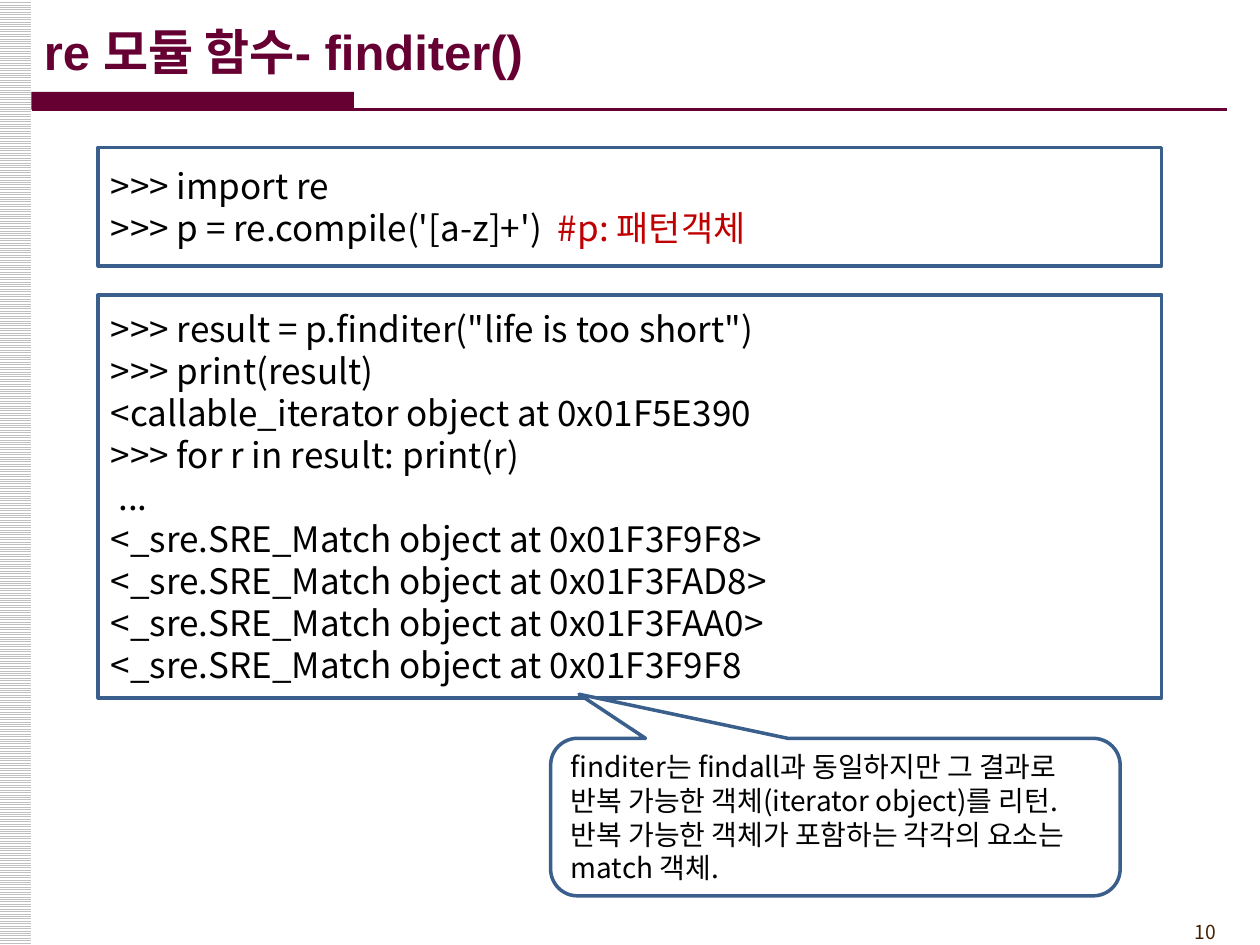
import pptx
import pptx.util
import pptx.dml.color
import pptx.enum.dml
import pptx.enum.shapes
import pptx.enum.text
import pptx.oxml.ns
from lxml import etree

Inches = pptx.util.Inches
Pt = pptx.util.Pt
RGBColor = pptx.dml.color.RGBColor
Shape = pptx.enum.shapes.MSO_SHAPE
Align = pptx.enum.text.PP_ALIGN
qn = pptx.oxml.ns.qn

MAROON = RGBColor(0x66, 0x00, 0x33)
BLUE = RGBColor(0x3A, 0x5F, 0x8C)
RED = RGBColor(0xC0, 0x00, 0x00)
BLACK = RGBColor(0, 0, 0)
BROWN = RGBColor(0x45, 0x21, 0x03)
GRAY = RGBColor(0xC0, 0xC0, 0xC0)
WHITE = RGBColor(0xFF, 0xFF, 0xFF)
KOREAN_FONT = "Noto Sans CJK KR"

TITLE = [[("re 모듈 함수- finditer()", MAROON)]]
PAGE_NUMBER = [[("10", BROWN)]]
COMPILE_CODE = [
    [(">>> import re", BLACK)],
    [(">>> p = re.compile('[a-z]+')  ", BLACK), ("#p: 패턴객체", RED)],
]
FINDITER_CODE = [[(line, BLACK)] for line in (
    '>>> result = p.finditer("life is too short")',
    ">>> print(result)",
    "<callable_iterator object at 0x01F5E390",
    ">>> for r in result: print(r)",
    " ...",
    "<_sre.SRE_Match object at 0x01F3F9F8>",
    "<_sre.SRE_Match object at 0x01F3FAD8>",
    "<_sre.SRE_Match object at 0x01F3FAA0>",
    "<_sre.SRE_Match object at 0x01F3F9F8",
)]
EXPLANATION = [[(
    "finditer는 findall과 동일하지만 그 결과로 반복 가능한 객체(iterator object)를 리턴. "
    "반복 가능한 객체가 포함하는 각각의 요소는 match 객체.", BLACK)]]
CODE_BOXES = [(1.17, 0.94, COMPILE_CODE), (2.34, 3.2, FINDITER_CODE)]


def write_text(shape, lines, size, font=KOREAN_FONT, bold=False, align=Align.LEFT):
    frame = shape.text_frame
    frame.word_wrap = True
    frame.vertical_anchor = pptx.enum.text.MSO_ANCHOR.MIDDLE
    for index, pieces in enumerate(lines):
        paragraph = frame.add_paragraph() if index else frame.paragraphs[0]
        paragraph.alignment = align
        paragraph.line_spacing = Pt(size * 1.2)
        for text, color in pieces:
            run = paragraph.add_run()
            run.text = text
            run.font.name = font
            run.font.size = Pt(size)
            run.font.bold = bold
            run.font.color.rgb = color
            east_asian = etree.SubElement(run.font._element, qn("a:ea"))
            east_asian.set("typeface", KOREAN_FONT)


def add_box(slide, kind, left, top, width, height, fill=None, line=None):
    shape = slide.shapes.add_shape(
        kind, Inches(left), Inches(top), Inches(width), Inches(height))
    shape.shadow.inherit = False
    if fill is None:
        shape.fill.background()
    else:
        shape.fill.solid()
        shape.fill.fore_color.rgb = fill
    if line is None:
        shape.line.fill.background()
    else:
        shape.line.color.rgb = line
        shape.line.width = Pt(2)
    return shape


def add_text_box(slide, left, top, width, height):
    return slide.shapes.add_textbox(
        Inches(left), Inches(top), Inches(width), Inches(height))


def add_frame(slide):
    stripe = add_box(slide, Shape.RECTANGLE, -0.01, 0, 0.26, 7.5)
    stripe.fill.patterned()
    stripe.fill.pattern = pptx.enum.dml.MSO_PATTERN.LIGHT_HORIZONTAL
    stripe.fill.fore_color.rgb = GRAY
    stripe.fill.back_color.rgb = WHITE
    number = add_text_box(slide, 8.92, 7.25, 0.83, 0.29)
    write_text(number, PAGE_NUMBER, 11, align=Align.RIGHT)
    add_box(slide, Shape.RECTANGLE, 0.25, 0.73, 2.56, 0.14, fill=MAROON)
    rule = slide.shapes.add_connector(
        pptx.enum.shapes.MSO_CONNECTOR.STRAIGHT,
        Inches(0.25), Inches(0.87), Inches(9.74), Inches(0.87))
    rule.line.color.rgb = MAROON
    rule.line.width = Pt(1.5)
    etree.SubElement(rule._element.spPr, qn("a:effectLst"))


def main():
    presentation = pptx.Presentation()
    presentation.slide_width = Inches(10)
    presentation.slide_height = Inches(7.5)
    slide = presentation.slides.add_slide(presentation.slide_layouts[6])

    add_frame(slide)
    title = add_text_box(slide, 0.25, 0.09, 9.44, 0.63)
    write_text(title, TITLE, 28, font="Arial", bold=True)

    for top, height, code in CODE_BOXES:
        box = add_box(slide, Shape.RECTANGLE, 0.78, top, 8.44, height, line=BLUE)
        write_text(box, code, 20)

    callout = add_box(slide, Shape.ROUNDED_RECTANGULAR_CALLOUT,
                      4.37, 5.86, 4.52, 1.25, fill=WHITE, line=BLUE)
    for index, value in enumerate((-0.45, -0.78, 0.17)):
        callout.adjustments[index] = value
    write_text(callout, EXPLANATION, 16)

    presentation.save("out.pptx")


if __name__ == "__main__":
    main()
